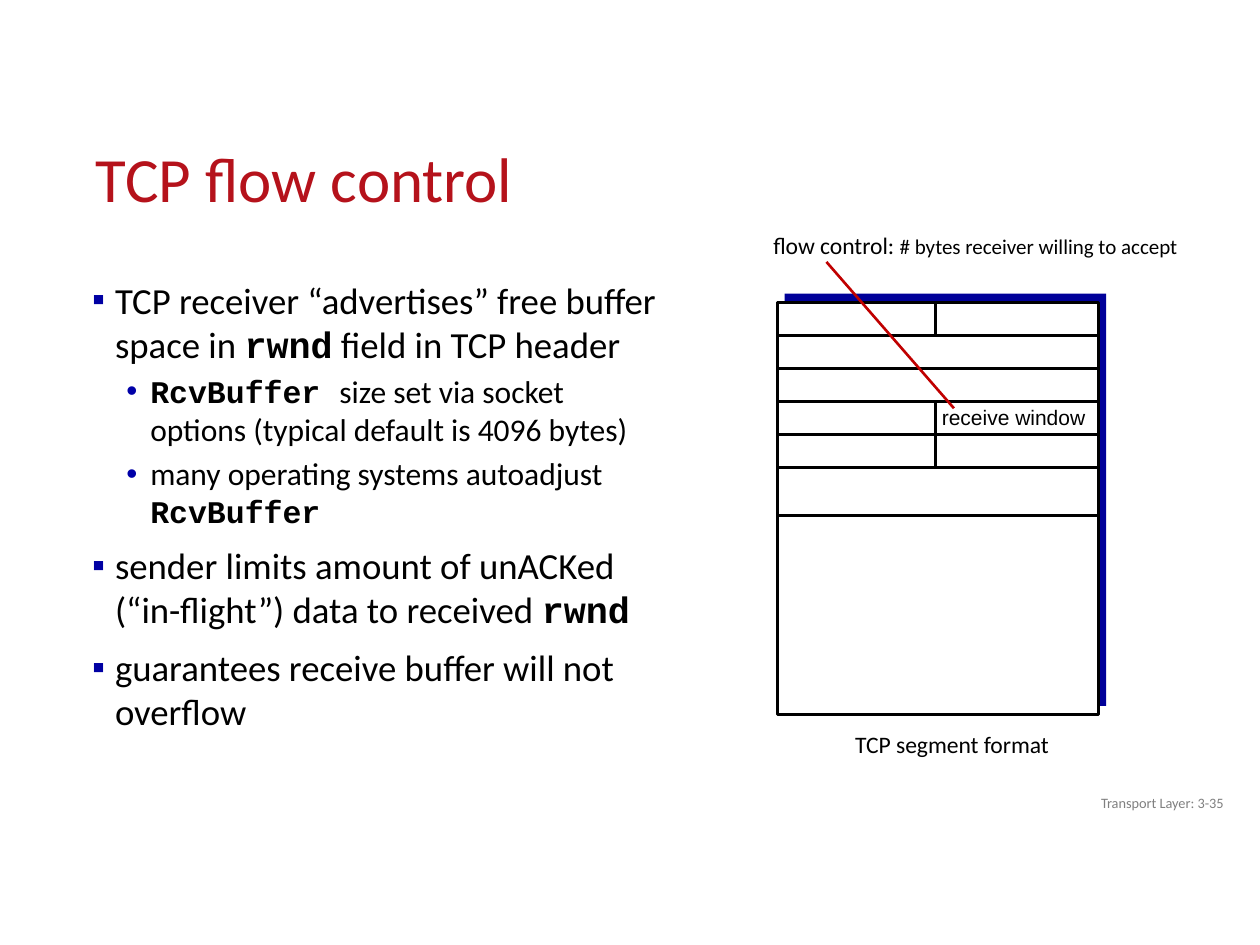
from lxml import etree
from pptx import Presentation
from pptx import util as u
from pptx.dml.color import RGBColor
from pptx.enum import shapes, text
from pptx.oxml.ns import qn

HUES = {"red": "B5121B", "beam": "C00000", "blue": "0000A3", "dot": "0000A8",
        "shade": "000099", "ink": "000000", "paper": "FFFFFF", "gray": "808080"}
SANS, MONO = "Calibri", "Courier New"
LEVELS = [dict(mark="▪", hue="blue", size=21, left=0.74, hang=0.46, gap=7.5),
          dict(mark="•", hue="dot", size=18, left=1.45, hang=0.48, gap=3.8)]
POINTS = [
    (0, [("TCP receiver “advertises” free buffer space in ", SANS), ("rwnd", MONO),
         (" field in TCP header", SANS)]),
    (1, [("RcvBuffer ", MONO),
         ("size set via socket options (typical default is 4096 bytes)", SANS)]),
    (1, [("many operating systems autoadjust ", SANS), ("RcvBuffer", MONO)]),
    (0, [("sender limits amount of unACKed (“in-flight”) data to received ", SANS),
         ("rwnd", MONO)]),
    (0, [("guarantees receive buffer will not overflow", SANS)]),
]


class Deck:
    """Hold the style and the current slide."""

    def __init__(self, wide, high):
        self.prs = Presentation()
        self.prs.slide_width, self.prs.slide_height = u.Cm(wide), u.Cm(high)
        self.slide = self.prs.slides.add_slide(self.prs.slide_layouts[6])

    def hue(self, name):
        return RGBColor.from_string(HUES[name])

    def frame(self, box, wrap=True, grow=False):
        tf = self.slide.shapes.add_textbox(*map(u.Cm, box)).text_frame
        tf.word_wrap = wrap
        if grow:
            tf.auto_size = text.MSO_AUTO_SIZE.SHAPE_TO_FIT_TEXT
        return tf

    def label(self, box, runs, hue="ink", font=SANS, align=None, space=None,
              wrap=True, grow=True):
        tf = self.frame(box, wrap, grow)
        para = tf.paragraphs[0]
        para.alignment, para.line_spacing = align, space
        para.font.name, para.font.color.rgb = font, self.hue(hue)
        for words, size in runs:
            run = para.add_run()
            run.text, run.font.size = words, u.Pt(size)
        return tf

    def bullets(self, box, points):
        tf = self.frame(box)
        tf.margin_left = tf.margin_right = u.Cm(0.18)
        tf.margin_top = tf.margin_bottom = u.Cm(0.1)
        for i, (level, runs) in enumerate(points):
            look = LEVELS[level]
            para = tf.add_paragraph() if i else tf.paragraphs[0]
            para.level, para.space_before = level, u.Pt(look["gap"])
            para.font.size, para.font.color.rgb = u.Pt(look["size"]), self.hue("ink")
            for words, font in runs:
                run = para.add_run()
                run.text, run.font.name, run.font.bold = words, font, font == MONO
            self.mark(para, look)

    def mark(self, para, look):
        props = para._p.get_or_add_pPr()
        props.set("marL", str(u.Cm(look["left"])))
        props.set("indent", str(-u.Cm(look["hang"])))
        tint = etree.Element(qn("a:buClr"))
        etree.SubElement(tint, qn("a:srgbClr"), val=HUES[look["hue"]])
        face = etree.Element(qn("a:buFont"), typeface="Arial")
        char = etree.Element(qn("a:buChar"), char=look["mark"])
        for child in (tint, face, char):
            props.insert_element_before(child, "a:tabLst", "a:defRPr", "a:extLst")

    def rect(self, box, fill, edge=None):
        shape = self.slide.shapes.add_shape(shapes.MSO_SHAPE.RECTANGLE, *map(u.Cm, box))
        shape.shadow.inherit = False
        shape.fill.solid()
        shape.fill.fore_color.rgb = self.hue(fill)
        if edge:
            shape.line.color.rgb, shape.line.width = self.hue(edge), u.Pt(1.5)
        else:
            shape.line.fill.background()

    def line(self, x1, y1, x2, y2, hue="ink"):
        rule = self.slide.shapes.add_connector(
            shapes.MSO_CONNECTOR.STRAIGHT, *map(u.Cm, (x1, y1, x2, y2)))
        rule.line.color.rgb, rule.line.width = self.hue(hue), u.Pt(1.5)
        etree.SubElement(rule._element.spPr, qn("a:effectLst"))


def main():
    deck = Deck(25.4, 19.05)
    right, center = text.PP_ALIGN.RIGHT, text.PP_ALIGN.CENTER
    deck.label((1.68, 2.97, 23.72, 1.85), [("TCP flow control", 36)], "red",
               space=u.Pt(35), grow=False)
    deck.bullets((1.4, 5.49, 12.14, 10.21), POINTS)

    deck.label((15.34, 4.6, 9.07, 0.79),
               [("flow control: ", 13.5), ("# bytes receiver willing to accept", 12)],
               space=0.9)
    left, top, wide, high = 15.67, 6.1, 6.48, 8.31
    deck.rect((left + 0.15, top - 0.18, wide, high), "shade")
    deck.rect((left, top, wide, high), "paper", "ink")
    rows = [6.76 + 0.665 * i for i in range(5)]
    for y in rows + [10.39]:
        deck.line(left, y, left + wide, y)
    mid = 18.86
    deck.line(mid, rows[4], mid, rows[2])
    deck.label((18.72, 8.03, 3.43, 0.76), [("receive window", 12)], font="Arial",
               align=center, wrap=False)
    deck.line(mid, rows[0], mid, top)
    deck.line(19.23, 8.23, 16.66, 5.28, "beam")
    deck.label((16.99, 14.66, 4.8, 0.79), [("TCP segment format", 13.5)], space=0.9)

    foot = deck.label((19.2, 15.8, 5.72, 0.76), [("Transport Layer: 3-35", 8.2)], "gray",
                      align=right, grow=False)
    foot.vertical_anchor = text.MSO_ANCHOR.MIDDLE
    deck.prs.save("out.pptx")


if __name__ == "__main__":
    main()
